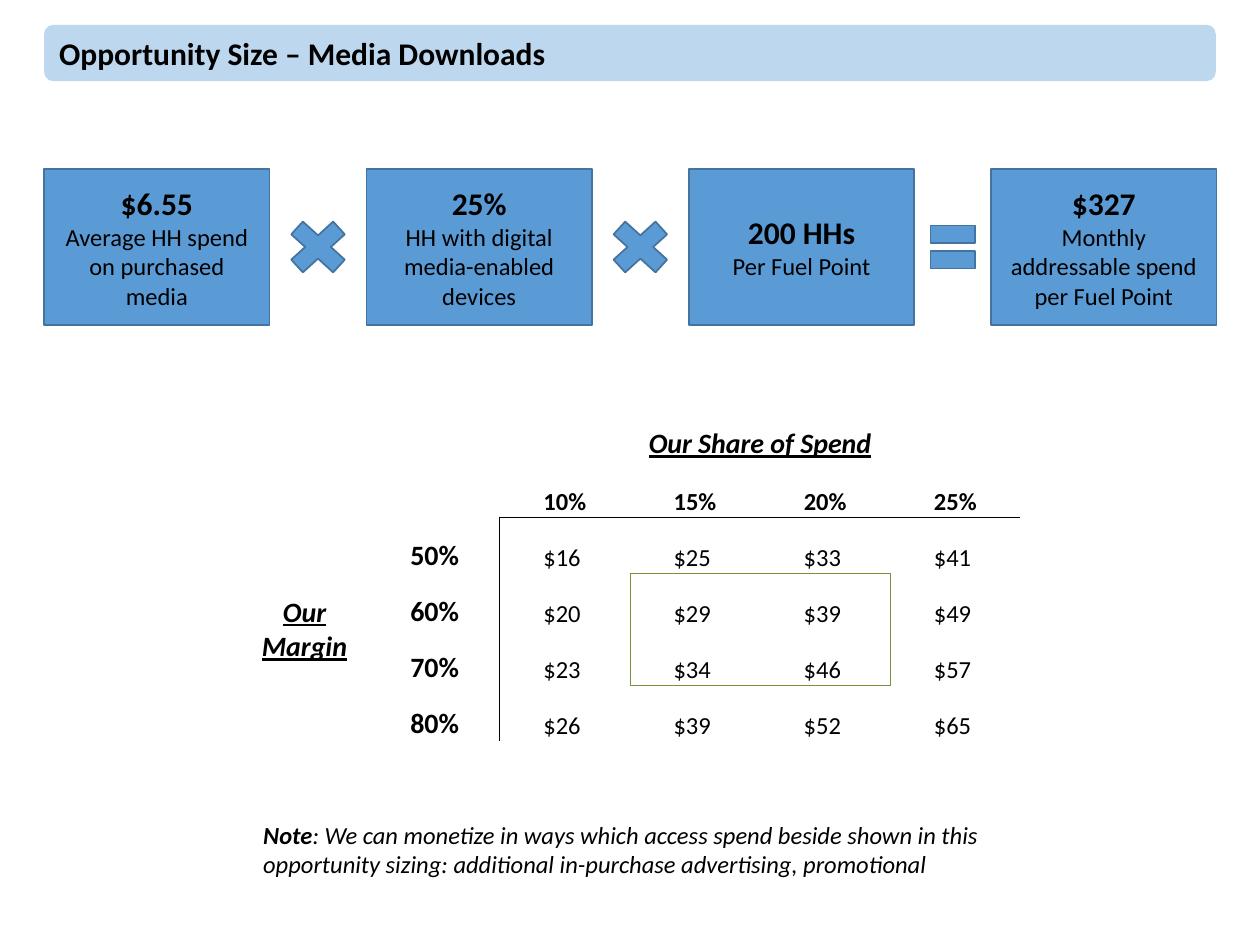
"""Build the media downloads opportunity sizing slide."""
from dataclasses import dataclass

from lxml.etree import SubElement
from pptx import Presentation
from pptx.dml.color import RGBColor as RGB
from pptx.enum.shapes import MSO_SHAPE as SHAPE
from pptx.enum.text import MSO_ANCHOR as ANCHOR, PP_ALIGN as ALIGN
from pptx.oxml.ns import qn
from pptx.util import Pt


@dataclass(frozen=True)
class Theme:
    font: str = "Calibri"
    ink: str = "000000"
    banner: str = "BDD7EE"
    block: str = "5B9BD5"
    outline: str = "43739E"
    highlight: str = "76933C"
    title: float = 18
    label: float = 16
    body: float = 14


@dataclass(frozen=True)
class Box:
    left: float
    top: float
    width: float
    height: float

    def lengths(self) -> tuple:
        return tuple(Pt(v) for v in (self.left, self.top, self.width, self.height))


@dataclass(frozen=True)
class Run:
    text: str
    size: float
    bold: bool = False
    italic: bool = False
    underline: bool = False


@dataclass(frozen=True)
class Factor:
    value: str
    caption: str


@dataclass(frozen=True)
class Operator:
    shape: SHAPE
    width: float


THEME = Theme()
GAP = 4.6
CARD_TOP, CARD_WIDTH, CARD_HEIGHT = 96.5, 128.9, 89.3
OPERATOR_HEIGHT = 41.8
TIMES = Operator(SHAPE.MATH_MULTIPLY, 46.1)
EQUALS = Operator(SHAPE.MATH_EQUAL, 34.6)
EQUATION = [
    Factor("$6.55", "Average HH spend on purchased media"), TIMES,
    Factor("25%", "HH with digital media-enabled devices"), TIMES,
    Factor("200 HHs", "Per Fuel Point"), EQUALS,
    Factor("$327", "Monthly addressable spend per Fuel Point"),
]

GRID = Box(136.8, 231.3, 446.4, 192.3)
SHARES = ["10%", "15%", "20%", "25%"]
MARGINS = {
    "50%": [16, 25, 33, 41],
    "60%": [20, 29, 39, 49],
    "70%": [23, 34, 46, 57],
    "80%": [26, 39, 52, 65],
}
SIZE = 6
SIDES = {"lnL": (0, -1), "lnR": (0, 1), "lnT": (-1, 0), "lnB": (1, 0)}


def add_runs(p, runs: list[Run], align=ALIGN.LEFT) -> None:
    p.alignment = align
    for run in runs:
        r = p.add_run()
        r.text = run.text
        font = r.font
        font.name, font.size = THEME.font, Pt(run.size)
        font.bold, font.italic, font.underline = run.bold, run.italic, run.underline
        font.color.rgb = RGB.from_string(THEME.ink)


def add_block(s, kind, box: Box, fill: str, line: str | None = None):
    sp = s.shapes.add_shape(kind, *box.lengths())
    sp.shadow.inherit = False
    sp.fill.solid()
    sp.fill.fore_color.rgb = RGB.from_string(fill)
    if line:
        sp.line.color.rgb = RGB.from_string(line)
        sp.line.width = Pt(1)
    else:
        sp.line.fill.background()
    sp.text_frame.vertical_anchor = ANCHOR.MIDDLE
    return sp


def add_equation(s) -> None:
    left = 25.2
    for part in EQUATION:
        if isinstance(part, Factor):
            width = CARD_WIDTH
            box = Box(left, CARD_TOP, width, CARD_HEIGHT)
            tf = add_block(s, SHAPE.RECTANGLE, box, THEME.block, THEME.outline).text_frame
            add_runs(tf.paragraphs[0], [Run(part.value, THEME.title, bold=True)], ALIGN.CENTER)
            add_runs(tf.add_paragraph(), [Run(part.caption, THEME.body)], ALIGN.CENTER)
        else:
            width = part.width
            top = CARD_TOP + (CARD_HEIGHT - OPERATOR_HEIGHT) / 2
            box = Box(left, top, width, OPERATOR_HEIGHT)
            add_block(s, part.shape, box, THEME.block, THEME.outline)
        left += width + GAP


def edge_color(a: tuple[int, int], b: tuple[int, int]) -> str | None:
    """Return the colour of the rule between two neighbouring cells."""
    def boxed(cell):
        return cell[0] in (3, 4) and cell[1] in (3, 4)

    (row, col), (next_row, next_col) = sorted((a, b))
    if boxed(a) != boxed(b):
        return THEME.highlight
    under_shares = (row, next_row) == (1, 2) and 2 <= col < SIZE
    beside_margins = (col, next_col) == (1, 2) and row >= 2
    return THEME.ink if under_shares or beside_margins else None


def draw_borders(cell, row: int, col: int) -> None:
    tc_pr = cell._tc.get_or_add_tcPr()
    lines = []
    for tag, (down, across) in SIDES.items():
        color = edge_color((row, col), (row + down, col + across))
        ln = SubElement(tc_pr, qn(f"a:{tag}"), w=str(Pt(0.5)))
        if color:
            fill = SubElement(ln, qn("a:solidFill"))
            SubElement(fill, qn("a:srgbClr"), val=color)
        else:
            SubElement(ln, qn("a:noFill"))
        lines.append(ln)
    for index, ln in enumerate(lines):
        tc_pr.insert(index, ln)


def fill_cell(cell, run: Run, anchor=ANCHOR.BOTTOM) -> None:
    cell.vertical_anchor = anchor
    add_runs(cell.text_frame.paragraphs[0], [run], ALIGN.CENTER)


def add_grid(s) -> None:
    table = s.shapes.add_table(SIZE, SIZE, *GRID.lengths()).table
    table.first_row = table.horz_banding = False
    for line in table.columns:
        line.width = Pt(GRID.width / SIZE)
    for line in table.rows:
        line.height = Pt(GRID.height / SIZE)
    for row in range(SIZE):
        for col in range(SIZE):
            cell = table.cell(row, col)
            cell.margin_left = cell.margin_right = cell.margin_top = Pt(0.7)
            cell.margin_bottom = Pt(0)
            cell.fill.background()
            draw_borders(cell, row, col)
    table.cell(0, 2).merge(table.cell(0, 5))
    table.cell(2, 0).merge(table.cell(5, 0))
    fill_cell(table.cell(0, 2), Run("Our Share of Spend", THEME.label, True, True, True))
    fill_cell(table.cell(2, 0), Run("Our Margin", THEME.label, True, True, True), ANCHOR.MIDDLE)
    for col, share in enumerate(SHARES, 2):
        fill_cell(table.cell(1, col), Run(share, THEME.body, bold=True))
    for row, (margin, amounts) in enumerate(MARGINS.items(), 2):
        fill_cell(table.cell(row, 1), Run(margin, THEME.label, bold=True))
        for col, amount in enumerate(amounts, 2):
            fill_cell(table.cell(row, col), Run(f"${amount} ", THEME.body))


def main() -> None:
    prs = Presentation()
    prs.slide_width, prs.slide_height = Pt(720), Pt(540)
    s = prs.slides.add_slide(prs.slide_layouts[6])
    banner = add_block(s, SHAPE.ROUNDED_RECTANGLE, Box(25.2, 14.2, 669.6, 32.2), THEME.banner)
    title = Run("Opportunity Size – Media Downloads", THEME.title, bold=True)
    add_runs(banner.text_frame.paragraphs[0], [title])
    add_equation(s)
    add_grid(s)
    tf = s.shapes.add_textbox(*Box(143.3, 465, 433.4, 41).lengths()).text_frame
    tf.word_wrap = True
    add_runs(tf.paragraphs[0], [
        Run("Note", THEME.body, bold=True, italic=True),
        Run(": We can monetize in ways which access spend beside shown in this opportunity "
            "sizing: additional in-purchase advertising, promotional", THEME.body, italic=True),
    ])
    prs.save("out.pptx")


if __name__ == "__main__":
    main()
